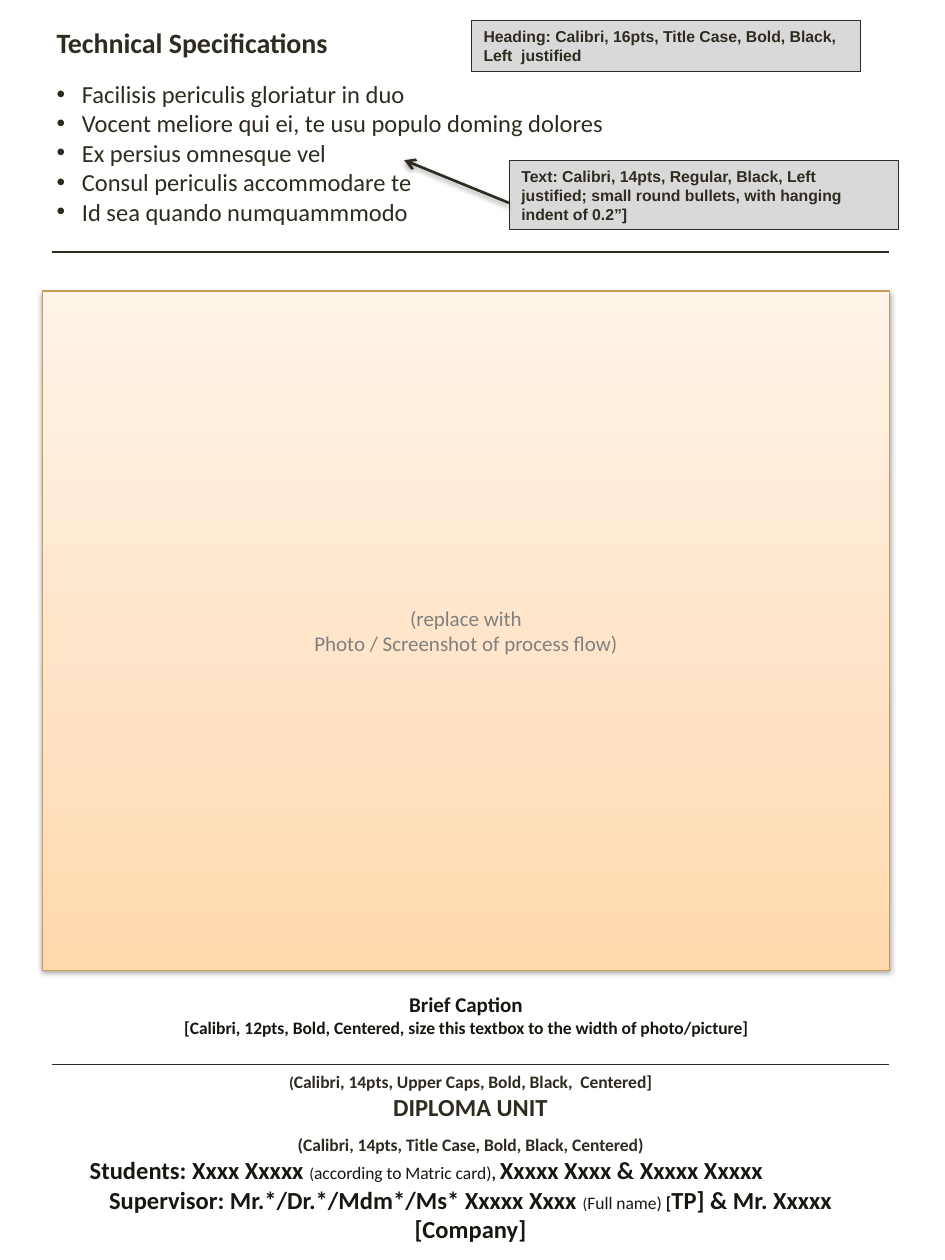
from dataclasses import dataclass

from lxml.etree import SubElement
from pptx import Presentation
from pptx.dml.color import RGBColor
from pptx.enum.shapes import MSO_CONNECTOR as Link, MSO_SHAPE as Preset
from pptx.enum.text import MSO_ANCHOR as Anchor, MSO_AUTO_SIZE as Fit, PP_ALIGN as Align
from pptx.oxml.ns import qn
from pptx.util import Cm, Pt

INK, DARK, RULE = "2F2B20", "181610", "2E2A1F"
TIGHT = (0.08, 0.05)
ROOMY = (0.25, 0.13)


@dataclass
class Box:
    left: float
    top: float
    width: float
    height: float

    def lengths(self) -> list:
        return [Cm(v) for v in (self.left, self.top, self.width, self.height)]


@dataclass
class Words:
    text: str
    size: float
    color: str = INK
    bold: bool = True
    font: str = "Calibri"


@dataclass
class Para:
    runs: list[Words]
    align: Align = Align.CENTER
    before: float = 0
    margin: float = 0
    indent: float = 0


@dataclass
class Callout:
    box: Box
    text: str


def rgb(value: str) -> RGBColor:
    return RGBColor.from_string(value)


def set_effects(shape, shadow: bool = False) -> None:
    """Replace the theme effect by none or by a soft shadow below."""
    effects = SubElement(shape._element.spPr, qn("a:effectLst"))
    if shadow:
        outer = SubElement(effects, qn("a:outerShdw"), blurRad=str(Pt(3.1)),
                           dist=str(Pt(1.6)), dir="5400000", rotWithShape="0")
        black = SubElement(outer, qn("a:srgbClr"), val="000000")
        SubElement(black, qn("a:alpha"), val="38000")


def set_text(shape, paras: list[Para], insets=ROOMY, anchor=Anchor.TOP) -> None:
    frame = shape.text_frame
    frame.word_wrap = True
    frame.auto_size = Fit.NONE
    frame.vertical_anchor = anchor
    frame.margin_left = frame.margin_right = Cm(insets[0])
    frame.margin_top = frame.margin_bottom = Cm(insets[1])
    for i, para in enumerate(paras):
        line = frame.paragraphs[0] if i == 0 else frame.add_paragraph()
        line.alignment = para.align
        line.space_before = Pt(para.before)
        if para.margin:
            props = line._p.get_or_add_pPr()
            props.set("marL", str(Cm(para.margin)))
            props.set("indent", str(Cm(para.indent)))
        for words in para.runs:
            run = line.add_run()
            run.text = words.text
            run.font.name, run.font.size = words.font, Pt(words.size)
            run.font.bold = words.bold
            run.font.color.rgb = rgb(words.color)


def place(shape, box: Box) -> None:
    shape.left, shape.top, shape.width, shape.height = box.lengths()


def add_rect(slide, box: Box, line: str, weight: float):
    rect = slide.shapes.add_shape(Preset.RECTANGLE, *box.lengths())
    rect.line.color.rgb = rgb(line)
    rect.line.width = Pt(weight)
    return rect


def add_callout(slide, callout: Callout) -> None:
    rect = add_rect(slide, callout.box, INK, 0.25)
    rect.fill.solid()
    rect.fill.fore_color.rgb = rgb("D9D9D9")
    set_effects(rect)
    set_text(rect, [Para([Words(callout.text, 9, font="Arial")], Align.LEFT)])


def add_line(slide, start: tuple, end: tuple, color: str, weight: float, arrow: bool = False) -> None:
    points = [Cm(v) for v in (*start, *end)]
    line = slide.shapes.add_connector(Link.STRAIGHT, *points)
    line.line.color.rgb = rgb(color)
    line.line.width = Pt(weight)
    if arrow:
        SubElement(line.line._get_or_add_ln(), qn("a:tailEnd"), type="arrow")
    set_effects(line, shadow=arrow)


def add_photo_area(slide, box: Box) -> None:
    area = add_rect(slide, box, "C69C58", 0.75)
    gradient = SubElement(area._element.spPr, qn("a:gradFill"), rotWithShape="1")
    stops = SubElement(gradient, qn("a:gsLst"))
    for percent, color in ((0, "FFD8AB"), (35, "FFE2C3"), (100, "FFF4E8")):
        stop = SubElement(stops, qn("a:gs"), pos=str(percent * 1000))
        SubElement(stop, qn("a:srgbClr"), val=color)
    SubElement(gradient, qn("a:lin"), ang="16200000", scaled="0")
    area._element.spPr.find(qn("a:ln")).addprevious(gradient)
    set_effects(area, shadow=True)
    lines = ("(replace with", "Photo / Screenshot of process flow)")
    set_text(area, [Para([Words(t, 12, "808080", False)]) for t in lines], TIGHT, Anchor.MIDDLE)


def main() -> None:
    deck = Presentation()
    deck.slide_width, deck.slide_height = Cm(19.05), Cm(25.4)
    slide = deck.slides.add_slide(deck.slide_layouts[1])

    # Heading and specification list
    heading, specs = slide.placeholders
    place(heading, Box(0.89, 0.38, 16.89, 0.95))
    set_text(heading, [Para([Words("Technical Specifications", 16)], Align.LEFT)])
    place(specs, Box(0.89, 1.46, 16.89, 3.3))
    set_text(specs, [
        Para([Words(item, 14, bold=False)], Align.LEFT, margin=0.51, indent=-0.51)
        for item in (
            "Facilisis periculis gloriatur in duo",
            "Vocent meliore qui ei, te usu populo doming dolores",
            "Ex persius omnesque vel",
            "Consul periculis accommodare te",
            "Id sea quando numquammmodo",
        )
    ])

    # Photo area with its caption
    add_photo_area(slide, Box(0.86, 5.87, 17.07, 13.69))
    caption = slide.shapes.add_textbox(*Box(0.86, 19.94, 17.07, 1.02).lengths())
    set_text(caption, [
        Para([Words("Brief Caption", 12, DARK)]),
        Para([Words("[Calibri, 12pts, Bold, Centered, size this textbox to the width of "
                    "photo/picture]", 10, DARK)]),
    ], TIGHT)

    # Rules between the sections
    for y in (5.08, 21.46):
        add_line(slide, (1.04, y), (17.93, y), RULE, 0.75)

    # Diploma unit, students and supervisor
    credits = slide.shapes.add_textbox(*Box(1.04, 21.46, 16.89, 4.19).lengths())
    set_text(credits, [
        Para([Words("(", 9), Words("Calibri, 14pts, Upper Caps, Bold, Black,  Centered]", 10)]),
        Para([Words("DIPLOMA UNIT", 14)]),
        Para([Words("(Calibri, 14pts, Title Case, Bold, Black, Centered)", 10)], before=7.3),
        Para([
            Words("Students: Xxxx Xxxxx ", 14, DARK),
            Words("(", 9, DARK, False),
            Words("according to Matric card)", 10, DARK, False),
            Words(", ", 10, DARK),
            Words("Xxxxx Xxxx & Xxxxx Xxxxx", 14, DARK),
        ], Align.LEFT, margin=0.52),
        Para([
            Words("Supervisor: Mr.*/Dr.*/Mdm*/Ms* Xxxxx Xxxx ", 14, DARK),
            Words("(", 9, DARK, False),
            Words("Full name) ", 10, DARK, False),
            Words("[", 10, DARK),
            Words("TP] & Mr. Xxxxx [Company]", 14, DARK),
        ]),
    ])

    # Formatting hints
    for callout in (
        Callout(Box(9.5, 0.41, 7.85, 1.02),
                "Heading: Calibri, 16pts, Title Case, Bold, Black, Left  justified"),
        Callout(Box(10.26, 3.23, 7.85, 1.4),
                "Text: Calibri, 14pts, Regular, Black, Left justified; small round bullets, "
                "with hanging indent of 0.2”]"),
    ):
        add_callout(slide, callout)
    add_line(slide, (10.26, 4.09), (8.15, 3.23), INK, 1.5, arrow=True)

    deck.save("out.pptx")


if __name__ == "__main__":
    main()
